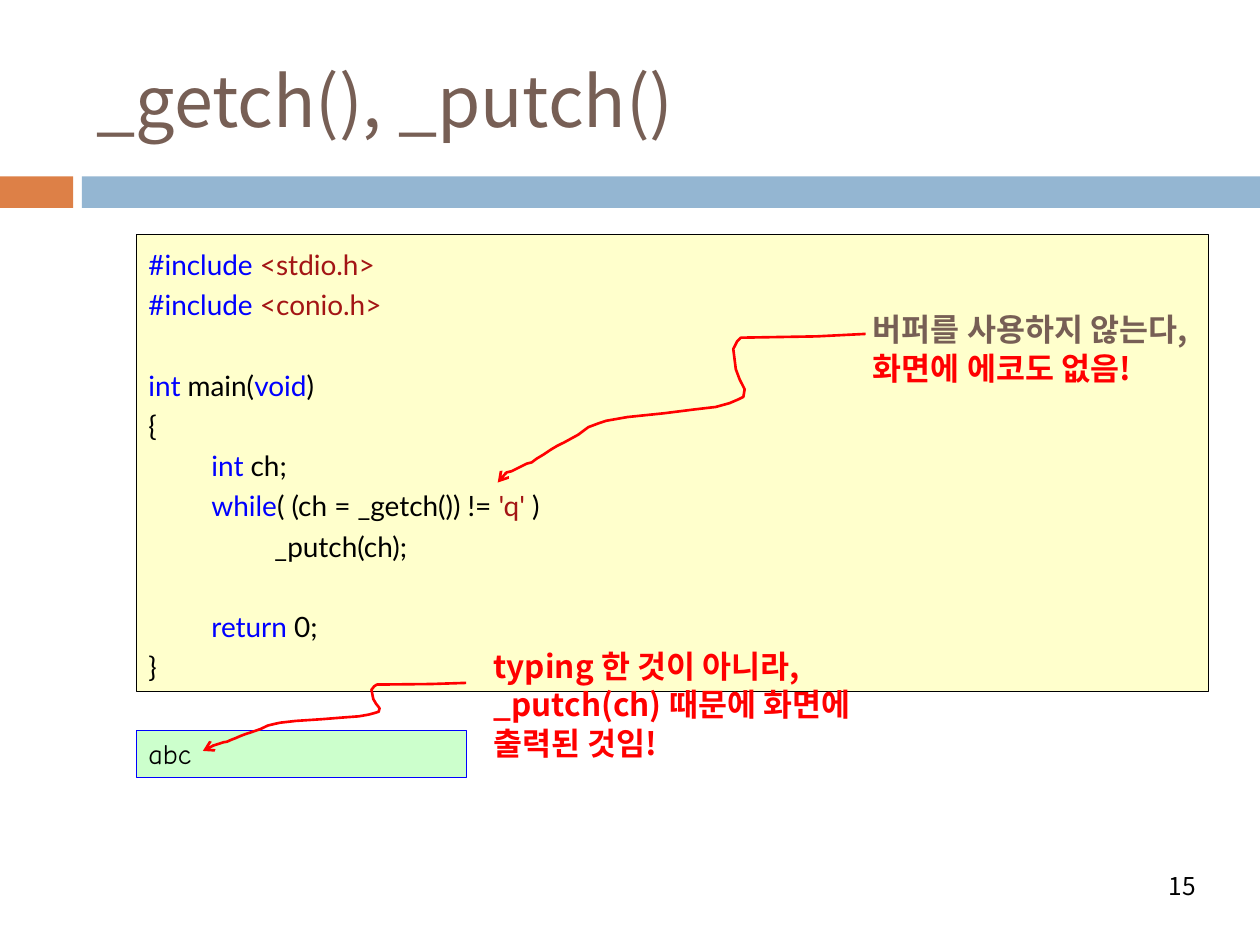
from lxml.etree import SubElement
from pptx import Presentation
from pptx.dml.color import RGBColor
from pptx.enum.shapes import MSO_SHAPE
from pptx.enum.text import MSO_ANCHOR, MSO_AUTO_SIZE, PP_ALIGN
from pptx.oxml.ns import qn
from pptx.util import Inches, Pt

KOREAN, CODE, CONSOLE = "Noto Sans CJK KR", "Lato", "Comic Neue"
BLACK, BLUE, MAROON, RED, BROWN = "000000", "0000FF", "A31515", "FF0000", "775F55"

CODE_LINES = [
    [("#include ", BLUE), ("<stdio.h>", MAROON)],
    [("#include ", BLUE), ("<conio.h>", MAROON)],
    [],
    [("int ", BLUE), ("main(", BLACK), ("void", BLUE), (")", BLACK)],
    [("{", BLACK)],
    [("\t", BLACK), ("int ", BLUE), ("ch;", BLACK)],
    [("\t", BLACK), ("while", BLUE), ("( (ch = _getch()) != ", BLACK),
     ("'q' ", MAROON), (")", BLACK)],
    [("\t\t_putch(ch);", BLACK)],
    [],
    [("\treturn ", BLUE), ("0;", BLACK)],
    [("}", BLACK)],
]

SQUIGGLE_SIZE = (2.92, 1.18)
SQUIGGLE = [
    (2.92, 0), (2.53, 0.02), (1.93, 0.03), (1.9, 0.06), (1.87, 0.12),
    (1.89, 0.28), (1.92, 0.36), (1.96, 0.44), (1.95, 0.5), (1.91, 0.52),
    (1.84, 0.55), (1.73, 0.58), (1.56, 0.6), (1.32, 0.63), (1.03, 0.66),
    (0.86, 0.69), (0.8, 0.71), (0.72, 0.74), (0.64, 0.8), (0.53, 0.86),
    (0.47, 0.89), (0.42, 0.92), (0.36, 0.96), (0.31, 0.99), (0.27, 1.02),
    (0.23, 1.03), (0.17, 1.06), (0.11, 1.09), (0.07, 1.1), (0.04, 1.13),
    (0.02, 1.16), (0, 1.18),
]


def color(hex_code):
    """Turn a hex string into a colour."""
    return RGBColor.from_string(hex_code)


class SlideBuilder:
    """Holds the text style and the current slide."""

    def __init__(self, slide):
        """Start on the given slide."""
        self.slide = slide

    def text(self, shape, lines, font, size, bold=False, spacing=None,
             align=PP_ALIGN.LEFT, anchor=MSO_ANCHOR.TOP, grow=False):
        """Write lines of (text, colour) runs into a shape."""
        frame = shape.text_frame
        frame.word_wrap = True
        frame.vertical_anchor = anchor
        frame.auto_size = MSO_AUTO_SIZE.SHAPE_TO_FIT_TEXT if grow else MSO_AUTO_SIZE.NONE
        for index, line in enumerate(lines):
            paragraph = frame.add_paragraph() if index else frame.paragraphs[0]
            paragraph.alignment = align
            if spacing:
                paragraph.line_spacing = spacing
            for content, ink in line:
                run = paragraph.add_run()
                run.text = content
                run.font.name, run.font.size, run.font.bold = font, Pt(size), bold
                run.font.color.rgb = color(ink)
                SubElement(run.font._element, qn("a:ea"), typeface=font)
            if not line:
                ending = SubElement(paragraph._p, qn("a:endParaRPr"), sz=str(size * 100))
                SubElement(ending, qn("a:latin"), typeface=font)

    def box(self, left, top, width, height, fill, line=None, weight=0.25):
        """Draw a filled rectangle with an optional outline."""
        shape = self.slide.shapes.add_shape(
            MSO_SHAPE.RECTANGLE, Inches(left), Inches(top), Inches(width), Inches(height))
        shape.shadow.inherit = False
        shape.fill.solid()
        shape.fill.fore_color.rgb = color(fill)
        if line:
            shape.line.color.rgb = color(line)
            shape.line.width = Pt(weight)
        else:
            shape.line.fill.background()
        return shape

    def label(self, left, top, width, height, lines, size, **style):
        """Place Korean text without a frame."""
        shape = self.slide.shapes.add_textbox(
            Inches(left), Inches(top), Inches(width), Inches(height))
        self.text(shape, lines, KOREAN, size, **style)

    def note(self, left, top, width, height, lines):
        """Place a bold remark."""
        self.label(left, top, width, height, lines, 18, bold=True,
                   spacing=Pt(22), grow=True)

    def squiggle(self, left, top, width, height):
        """Draw the wavy arrow scaled into the given area."""
        x_scale, y_scale = width / SQUIGGLE_SIZE[0], height / SQUIGGLE_SIZE[1]
        points = [(Inches(left + x * x_scale), Inches(top + y * y_scale))
                  for x, y in SQUIGGLE]
        builder = self.slide.shapes.build_freeform(*points[0])
        builder.add_line_segments(points[1:], close=False)
        arrow = builder.convert_to_shape()
        arrow.shadow.inherit = False
        arrow.fill.background()
        arrow.line.color.rgb = color(RED)
        arrow.line.width = Pt(1.5)
        SubElement(arrow.line._get_or_add_ln(), qn("a:tailEnd"), type="arrow")


def main():
    """Build and save the slide."""
    deck = Presentation()
    deck.slide_width, deck.slide_height = Inches(10), Inches(7.5)
    page = SlideBuilder(deck.slides.add_slide(deck.slide_layouts[6]))

    page.box(0, 1.4, 0.58, 0.25, "DD8047")
    page.box(0.65, 1.4, 9.35, 0.25, "94B6D2")
    page.label(0.67, 0.25, 8.92, 1.08, [[("_getch(), _putch()", BROWN)]], 40,
               anchor=MSO_ANCHOR.MIDDLE)

    listing = page.box(1.08, 1.86, 8.51, 3.63, "FFFFCC", BLACK)
    page.text(listing, CODE_LINES, CODE, 16, spacing=1.2, grow=True)
    page.note(6.83, 2.41, 2.91, 0.71, [
        [("버퍼를 사용하지 않는다,", BROWN)], [("화면에 에코도 없음!", RED)]])

    console = page.box(1.08, 5.8, 2.62, 0.37, "CCFFCC", BLUE, 0.33)
    page.text(console, [[("abc", BLACK)]], CONSOLE, 16,
              align=PP_ALIGN.JUSTIFY, grow=True)
    page.squiggle(3.95, 2.65, 2.92, 1.18)
    page.note(3.82, 5.08, 3.23, 1.01, [
        [("typing 한 것이 아니라,", RED)],
        [("_putch(ch) 때문에 화면에 출력된 것임!", RED)]])
    page.squiggle(1.61, 5.42, 2.09, 0.54)
    page.label(6.81, 6.83, 2.78, 0.4, [[("15", BLACK)]], 14,
               align=PP_ALIGN.RIGHT, anchor=MSO_ANCHOR.MIDDLE)
    deck.save("out.pptx")


if __name__ == "__main__":
    main()
